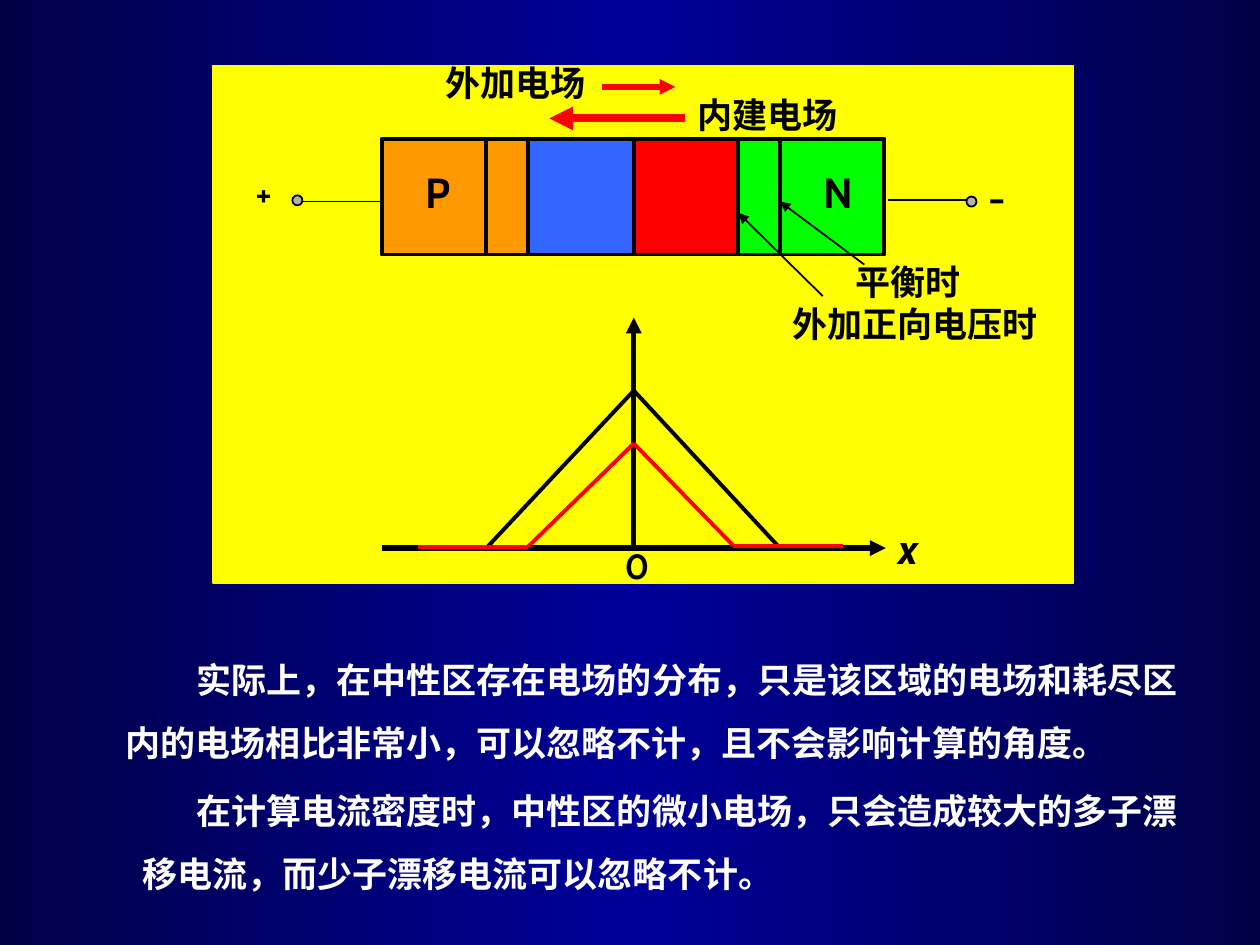
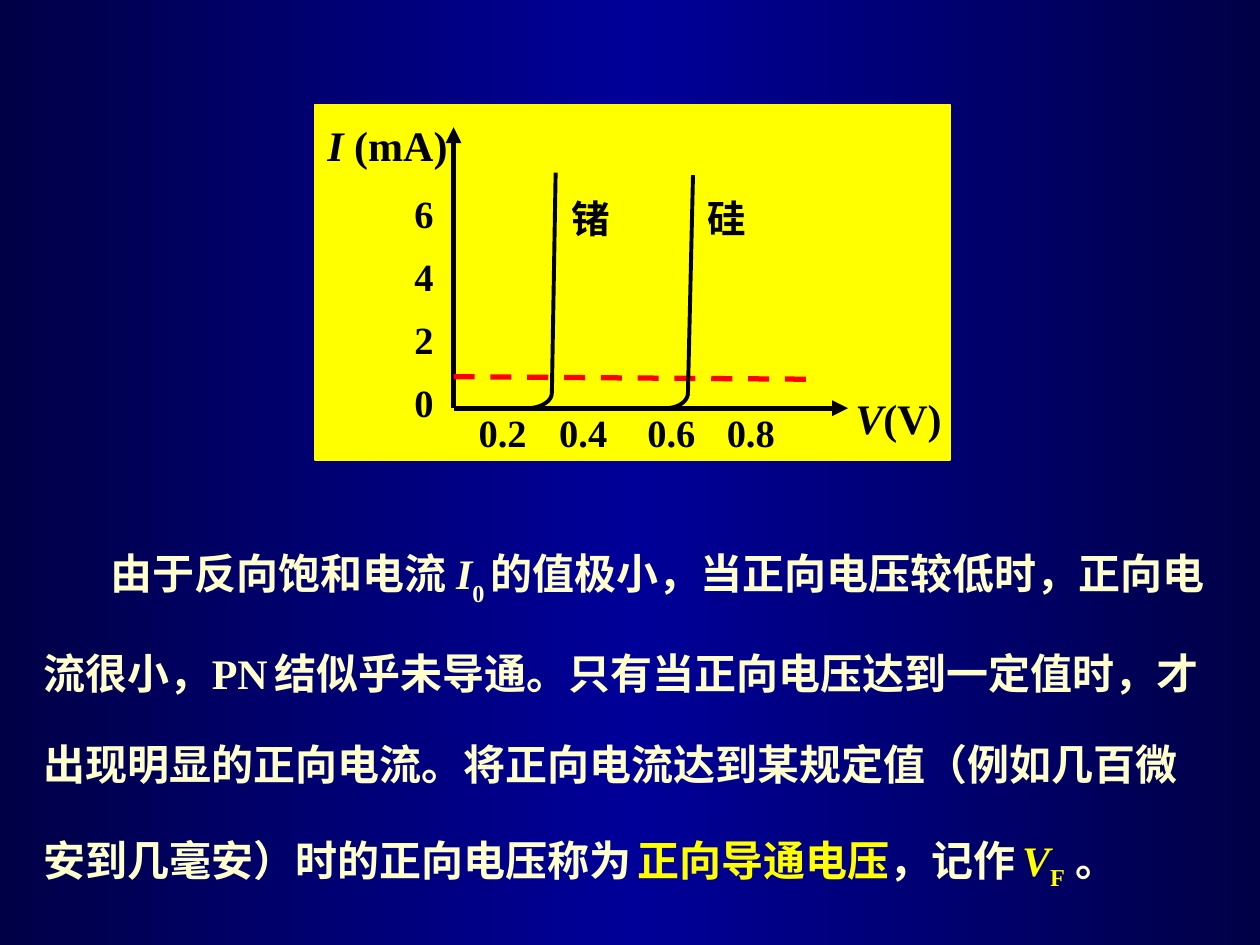
from copy import deepcopy
from dataclasses import dataclass

from lxml import etree
from pptx import Presentation
from pptx.dml.color import RGBColor
from pptx.enum.dml import MSO_LINE
from pptx.enum.shapes import MSO_CONNECTOR, MSO_SHAPE
from pptx.oxml.ns import qn
from pptx.slide import Slide
from pptx.util import Inches, Pt

RECT, OVAL = MSO_SHAPE.RECTANGLE, MSO_SHAPE.OVAL
STRAIGHT, DASH = MSO_CONNECTOR.STRAIGHT, MSO_LINE.DASH

NAVY = RGBColor(0x00, 0x00, 0x47)
BLUE_GLOW = RGBColor(0x00, 0x00, 0x99)
YELLOW = RGBColor(0xFF, 0xFF, 0x00)
BLACK = RGBColor(0x00, 0x00, 0x00)
WHITE = RGBColor(0xFF, 0xFF, 0xFF)
CREAM = RGBColor(0xFF, 0xFF, 0xCC)
RED = RGBColor(0xFF, 0x00, 0x00)
BLUE = RGBColor(0x33, 0x66, 0xFF)
GREEN = RGBColor(0x00, 0xFF, 0x00)
ORANGE = RGBColor(0xFF, 0x99, 0x00)
GREY = RGBColor(0xB2, 0xB2, 0xB2)

SANS, CJK, SERIF = "Cabin", "Noto Sans CJK SC", "Times New Roman"

Point = tuple[float, float]


@dataclass(frozen=True)
class Run:
    text: str
    size: float = 20
    font: str = SANS
    color: RGBColor = BLACK
    italic: bool = False
    baseline: int = 0


@dataclass(frozen=True)
class TextBox:
    left: float
    top: float
    width: float
    height: float
    runs: tuple[Run, ...]
    indent: float = 0
    spacing: float = 1.0


@dataclass(frozen=True)
class Box:
    left: float
    top: float
    width: float
    height: float
    fill: RGBColor
    line: RGBColor = BLACK
    weight: float = 2.25
    kind: int = RECT


@dataclass(frozen=True)
class Line:
    start: Point
    end: Point
    color: RGBColor = BLACK
    weight: float = 2.25
    arrow: bool = False
    dashed: bool = False


def add_dark_slide(prs: Presentation) -> Slide:
    """Add a blank slide with the shared navy-blue-navy gradient."""
    s = prs.slides.add_slide(prs.slide_layouts[6])
    fill = s.background.fill
    fill.gradient()
    fill.gradient_angle = 0
    stops = s.element.xpath("p:cSld/p:bg//a:gsLst")[0]
    stops.append(deepcopy(stops[0]))
    for stop, position, color in zip(fill.gradient_stops, (0, 0.5, 1), (NAVY, BLUE_GLOW, NAVY)):
        stop.position = position
        stop.color.rgb = color
    return s


def add_box(s: Slide, box: Box) -> None:
    sp = s.shapes.add_shape(box.kind, Inches(box.left), Inches(box.top),
                            Inches(box.width), Inches(box.height))
    sp.shadow.inherit = False
    sp.fill.solid()
    sp.fill.fore_color.rgb = box.fill
    sp.line.color.rgb = box.line
    sp.line.width = Pt(box.weight)


def add_panel(s: Slide, left: float, top: float, width: float, height: float) -> None:
    add_box(s, Box(left, top, width, height, YELLOW, YELLOW, 1))


def add_line(s: Slide, line: Line) -> None:
    cxn = s.shapes.add_connector(STRAIGHT, *(Inches(v) for v in line.start + line.end))
    cxn.line.color.rgb = line.color
    cxn.line.width = Pt(line.weight)
    if line.dashed:
        cxn.line.dash_style = DASH
    sp_pr = cxn._element.spPr
    if line.arrow:
        etree.SubElement(sp_pr.find(qn("a:ln")), qn("a:tailEnd"), type="triangle")
    etree.SubElement(sp_pr, qn("a:effectLst"))


def add_text(s: Slide, box: TextBox) -> None:
    tf = s.shapes.add_textbox(Inches(box.left), Inches(box.top),
                              Inches(box.width), Inches(box.height)).text_frame
    tf.word_wrap = True
    p = tf.paragraphs[0]
    p.line_spacing = box.spacing
    if box.indent:
        p_pr = p._p.get_or_add_pPr()
        p_pr.set("marL", "0")
        p_pr.set("indent", str(Inches(box.indent)))
    for run in box.runs:
        r = p.add_run()
        r.text = run.text
        r.font.size = Pt(run.size)
        r.font.bold = True
        r.font.italic = run.italic
        r.font.color.rgb = run.color
        r.font.name = run.font
        r_pr = r._r.get_or_add_rPr()
        etree.SubElement(r_pr, qn("a:ea"), typeface=run.font)
        if run.baseline:
            r_pr.set("baseline", str(run.baseline * 1000))


def add_label(s: Slide, text: str, left: float, top: float, width: float, height: float,
              size: float = 20, font: str = SANS, italic: bool = False) -> None:
    add_text(s, TextBox(left, top, width, height, (Run(text, size, font, italic=italic),)))


def add_knee(s: Slide, start: Point, end: Point, steps: int = 16) -> None:
    """Draw the rounded bend where a diode curve leaves the voltage axis."""
    (x0, y0), (x1, y1) = start, end
    controls = (start, (x0 + (x1 - x0) * 0.55, y0), (x1, y1 + (y0 - y1) * 0.55), end)
    points = []
    for i in range(steps + 1):
        t = i / steps
        weights = ((1 - t) ** 3, 3 * t * (1 - t) ** 2, 3 * t * t * (1 - t), t ** 3)
        points.append(tuple(Inches(sum(w * c[axis] for w, c in zip(weights, controls)))
                            for axis in (0, 1)))
    builder = s.shapes.build_freeform(*points[0])
    builder.add_line_segments(points[1:], close=False)
    sp = builder.convert_to_shape()
    sp.shadow.inherit = False
    sp.fill.background()
    sp.line.color.rgb = BLACK
    sp.line.width = Pt(2.25)


def build_field_slide(prs: Presentation) -> None:
    s = add_dark_slide(prs)
    add_panel(s, 1.69, 0.52, 6.83, 4.11)

    regions = ((5.03, 1.17, RED), (3.86, 1.17, BLUE), (5.86, 0.33, GREEN),
               (3.86, 0.33, ORANGE), (3.03, 0.83, ORANGE), (6.19, 0.83, GREEN))
    for left, width, color in regions:
        add_box(s, Box(left, 1.1, width, 0.92, color))

    origin_x, axis_y = 5.03, 4.35
    balance_peak, forward_peak = (origin_x, 3.1), (origin_x, 3.52)
    left_foot, right_foot = (4.19, 4.34), (5.82, 4.33)
    lines = (
        Line((3.03, axis_y), (7.03, axis_y), weight=3, arrow=True),
        Line((origin_x, axis_y), (origin_x, 2.52), weight=3, arrow=True),
        Line(balance_peak, (3.86, axis_y)),
        Line(balance_peak, (6.19, axis_y)),
        Line(left_foot, forward_peak, RED),
        Line(right_foot, forward_peak, RED),
        Line((6.69, 4.33), right_foot, RED),
        Line(left_foot, (3.32, 4.34), RED),
        Line((5.44, 0.94), (4.36, 0.94), RED, 4.5, arrow=True),
        Line((4.78, 0.69), (5.36, 0.69), RED, 3, arrow=True),
        Line((6.86, 2.1), (6.19, 1.6), weight=1, arrow=True),
        Line((6.53, 2.35), (5.86, 1.69), weight=1, arrow=True),
        Line((3.03, 1.6), (2.4, 1.6), weight=1),
        Line((7.67, 1.59), (7.05, 1.59), weight=1),
    )
    for line in lines:
        add_line(s, line)
    for left, top in ((2.32, 1.55), (7.67, 1.56)):
        add_box(s, Box(left, top, 0.08, 0.08, GREY, weight=1, kind=OVAL))

    for text, left, top in (("P", 3.28, 1.27), ("N", 6.44, 1.27), ("-", 7.75, 1.31)):
        add_label(s, text, left, top, 0.5, 0.5, 24)
    add_label(s, "x", 7.03, 4.1, 0.5, 0.5, 24, italic=True)
    small_labels = (("0", 4.86, 4.27, 0.5), ("+", 1.93, 1.31, 0.39),
                    ("平衡时", 6.69, 2.02, 1.83), ("外加正向电压时", 6.19, 2.35, 2.27),
                    ("外加电场", 3.44, 0.44, 1.39), ("内建电场", 5.44, 0.69, 1.83))
    for text, left, top, width in small_labels:
        add_label(s, text, left, top, width, 0.44)

    neutral_field = ("实际上，在中性区存在电场的分布，只是该区域的电场和耗尽区内的电场相比非常小，"
                     "可以忽略不计，且不会影响计算的角度。")
    drift_current = ("在计算电流密度时，中性区的微小电场，只会造成较大的多子漂移电流，"
                     "而少子漂移电流可以忽略不计。")
    add_text(s, TextBox(0.9, 5.01, 8.66, 1.1, (Run(neutral_field, color=WHITE),), 0.56, 1.5))
    add_text(s, TextBox(1.03, 6.05, 8.46, 1.1, (Run(drift_current, color=WHITE),), 0.43, 1.5))


def build_turn_on_slide(prs: Presentation) -> None:
    s = add_dark_slide(prs)
    explanation = (
        Run("由于", 24, SANS, CREAM),
        Run("反向饱和电流 ", 24, CJK, CREAM),
        Run("I", 24, SERIF, CREAM, italic=True),
        Run("0 ", 24, SERIF, CREAM, baseline=-30),
        Run("的值极小，当", 24, CJK, CREAM),
        Run("正向电压较低时，正向电流很小，", 24, SANS, CREAM),
        Run("PN", 24, SERIF, CREAM),
        Run(" ", 16, SERIF, CREAM),
        Run("结似乎未导通。只有当正向电压达到一定值时，才出现明显的正向电流。"
            "将正向电流达到某规定值（例如几百微安到几毫安）时的正向电压称为", 24, SANS, CREAM),
        Run(" ", 12, SERIF, CREAM),
        Run("正向导通电压", 24, SANS, YELLOW),
        Run("，记作", 24, SANS, CREAM),
        Run(" ", 16, SERIF, CREAM),
        Run("V", 24, SERIF, YELLOW, italic=True),
        Run("F", 24, SERIF, YELLOW, baseline=-25),
        Run(" ", 24, SERIF, YELLOW),
        Run("。", 24, SANS, CREAM),
    )
    add_text(s, TextBox(0.25, 3.92, 9.5, 3.21, explanation, 0.53, 1.8))
    add_panel(s, 2.5, 0.83, 5.04, 2.82)

    origin = (3.6, 3.24)
    add_line(s, Line(origin, (6.73, 3.24), weight=3, arrow=True))
    add_line(s, Line(origin, (3.6, 1.01), weight=3, arrow=True))
    add_line(s, Line((3.6, 2.99), (6.43, 3.01), RED, 3, dashed=True))
    diodes = (("锗", 4.44, 4.18, 4.38, (4.41, 1.37)), ("硅", 5.52, 5.28, 5.46, (5.5, 1.39)))
    for name, label_left, knee_left, knee_right, top in diodes:
        add_knee(s, (knee_left, 3.24), (knee_right, 3.12))
        add_line(s, Line((knee_right, 3.12), top))
        add_label(s, name, label_left, 1.5, 0.7, 0.47, 22)

    axis_titles = (("V", "(V)", 6.69, 3.07, 0.98), ("I ", "(mA)", 2.5, 0.9, 1.25))
    for symbol, unit, left, top, width in axis_titles:
        runs = (Run(symbol, 24, SERIF, italic=True), Run(unit, 24, SERIF))
        add_text(s, TextBox(left, top, width, 0.5, runs))
    for i, current in enumerate(("0", "2", "4", "6")):
        add_label(s, current, 3.19, 2.96 - 0.5 * i, 0.54, 0.47, 22, SERIF)
    for voltage, left in (("0.2", 3.7), ("0.4", 4.34), ("0.6", 5.04), ("0.8", 5.67)):
        add_label(s, voltage, left, 3.2, 0.8, 0.47, 22, SERIF)


def main() -> None:
    prs = Presentation()
    prs.slide_width, prs.slide_height = Inches(10), Inches(7.5)
    build_field_slide(prs)
    build_turn_on_slide(prs)
    prs.save("out.pptx")


if __name__ == "__main__":
    main()
